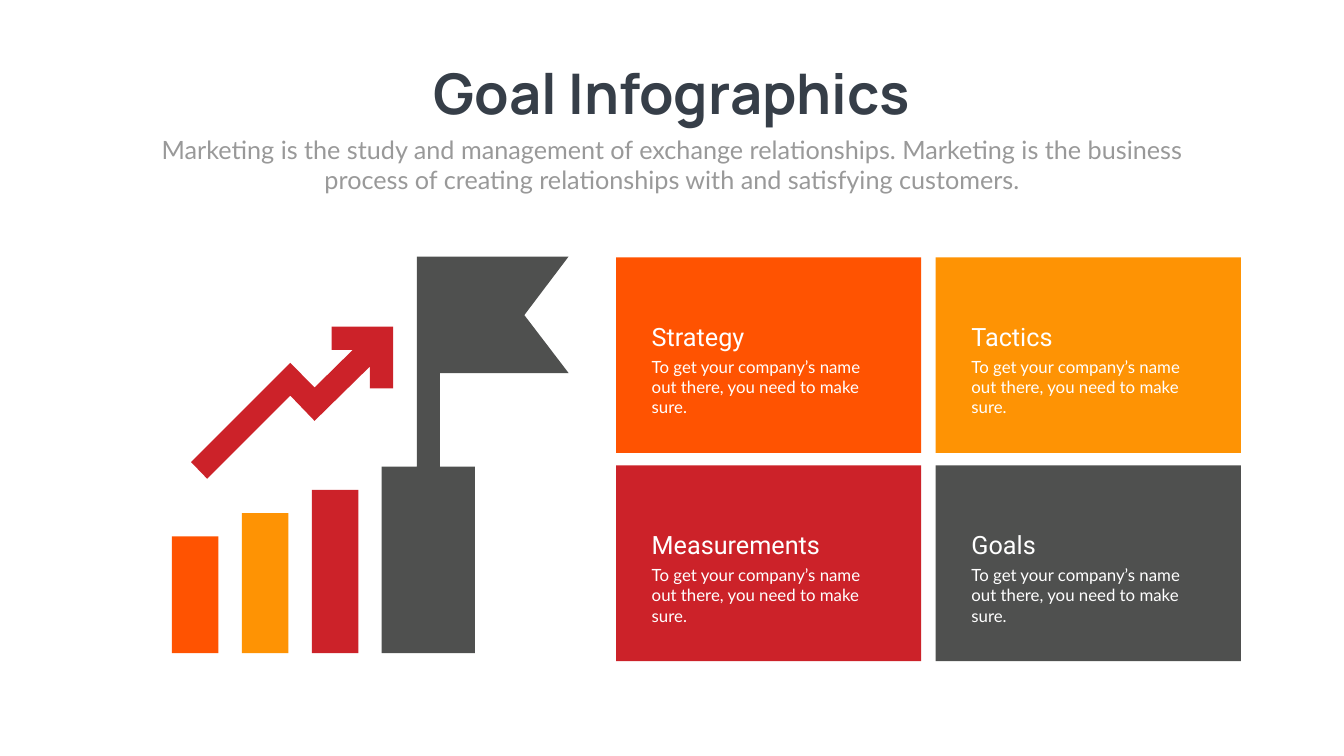
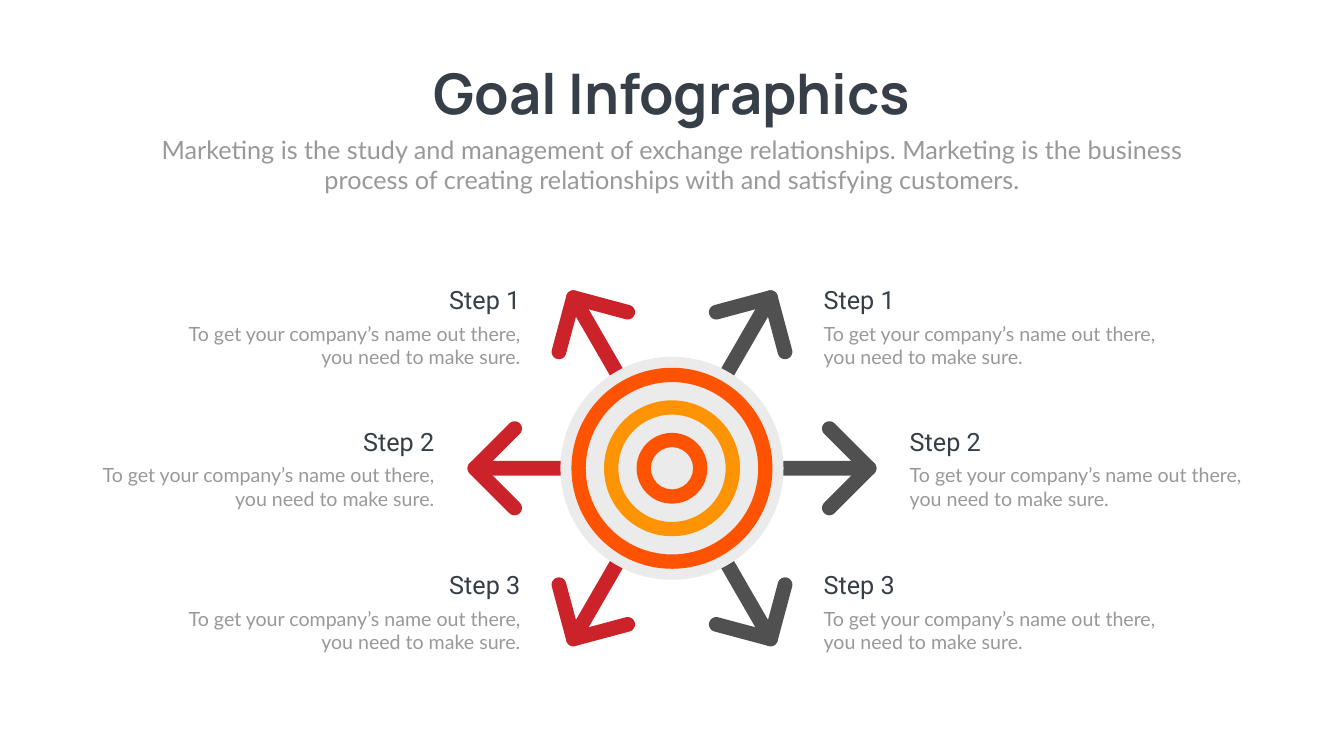
from dataclasses import dataclass
from math import cos, radians, sin

from pptx import Presentation
from pptx.dml.color import RGBColor
from pptx.enum.shapes import MSO_SHAPE
from pptx.enum.text import MSO_ANCHOR, MSO_AUTO_SIZE, PP_ALIGN
from pptx.util import Cm, Pt


@dataclass(frozen=True)
class Theme:
    """Colours, fonts and type sizes of the deck."""
    ink: str = "363E48"
    muted: str = "999999"
    white: str = "FFFFFF"
    orange: str = "FF5301"
    amber: str = "FE9304"
    red: str = "CC2229"
    grey: str = "4F504F"
    pale: str = "EBEBEB"
    title_font: str = "Manrope"
    head_font: str = "Roboto"
    body_font: str = "Lato"
    title_size: int = 80
    head_size: int = 36
    step_size: int = 28
    card_size: int = 24


T = Theme()
WIDTH, HEIGHT = 67.72, 38.1
CENTRE = (33.86, 23.6)
TILT = 30
STEP_TOPS = (14.22, 21.34, 28.58)
COPY = "To get your company’s name out there, you need to make sure."
INTRO = ("Marketing is the study and management of exchange relationships. "
         "Marketing is the business process of creating relationships with "
         "and satisfying customers.")


def write(shape, text, font=T.body_font, size=T.head_size, color=T.muted,
          bold=False, align=PP_ALIGN.LEFT, wrap=True):
    """Put one formatted paragraph into a shape."""
    tf = shape.text_frame
    tf.word_wrap = wrap
    tf.auto_size = MSO_AUTO_SIZE.SHAPE_TO_FIT_TEXT
    tf.vertical_anchor = MSO_ANCHOR.TOP
    p = tf.paragraphs[0]
    p.alignment = align
    p.space_before = Pt(0)
    r = p.add_run()
    r.text = text
    r.font.name, r.font.size, r.font.bold = font, Pt(size), bold
    r.font.color.rgb = RGBColor.from_string(color)


def place(shape, left, top, width, height):
    """Move and size a shape, in centimetres."""
    shape.left, shape.top = Cm(left), Cm(top)
    shape.width, shape.height = Cm(width), Cm(height)


def paint(shape, color):
    """Give a shape a flat fill without line or shadow."""
    shape.shadow.inherit = False
    shape.fill.solid()
    shape.fill.fore_color.rgb = RGBColor.from_string(color)
    shape.line.fill.background()


def add_box(s, kind, left, top, width, height, color):
    """Add a flat preset shape."""
    sp = s.shapes.add_shape(kind, Cm(left), Cm(top), Cm(width), Cm(height))
    paint(sp, color)
    return sp


def add_text(s, left, top, width, height, text, **fmt):
    """Add a text box."""
    sp = s.shapes.add_textbox(Cm(left), Cm(top), Cm(width), Cm(height))
    write(sp, text, **fmt)


def add_outline(s, points, color):
    """Add a closed flat polygon."""
    pts = [(Cm(x), Cm(y)) for x, y in points]
    fb = s.shapes.build_freeform(*pts[0], scale=1.0)
    fb.add_line_segments(pts[1:], close=True)
    sp = fb.convert_to_shape()
    paint(sp, color)
    return sp


def add_disc(s, diameter, color, thickness=None):
    """Add a disc, or a ring of the given thickness, around the centre."""
    kind = MSO_SHAPE.DONUT if thickness else MSO_SHAPE.OVAL
    x, y = CENTRE
    sp = add_box(s, kind, x - diameter / 2, y - diameter / 2,
                 diameter, diameter, color)
    if thickness:
        sp.adjustments[0] = thickness / diameter


def arc(x, y, radius, start, end):
    """List the points of an arc, one every 15 degrees."""
    return [(x + radius * cos(radians(a)), y + radius * sin(radians(a)))
            for a in range(start, end + 1, 15)]


def turn(points, angle):
    """Rotate points about the origin and move them to the centre."""
    c, n = cos(radians(angle)), sin(radians(angle))
    return [(CENTRE[0] + x * c - y * n, CENTRE[1] + x * n + y * c)
            for x, y in points]


def add_tilted(s, points, angle, color):
    """Add an outline whose frame is tilted about the centre."""
    sp = add_outline(s, turn(points, angle + TILT), color)
    x = (sp.left + sp.width / 2) / Cm(1) - CENTRE[0]
    y = (sp.top + sp.height / 2) / Cm(1) - CENTRE[1]
    (x, y), = turn([(x, y)], -TILT)
    sp.left = Cm(x) - sp.width // 2
    sp.top = Cm(y) - sp.height // 2
    sp.rotation = 360 - TILT


def add_arrow(s, angle, color, start=4.24, tip=9.93, wing=2, half=0.37):
    """Add a round-ended arrow that points away from the centre."""
    head = (arc(tip, 0, half, -45, 45)
            + arc(tip - wing, wing, half, 45, 225)
            + [(tip - half * 2 ** 0.5, 0)]
            + arc(tip - wing, -wing, half, 135, 315))
    shaft = arc(tip, 0, half, -90, 90) + arc(start, 0, half, 90, 270)
    for outline in (head, shaft):
        add_tilted(s, outline, angle, color)


def add_slide(prs):
    """Add a slide with the shared title and introduction."""
    s = prs.slides.add_slide(prs.slide_layouts[0])
    title, intro = s.placeholders
    place(title, 20.57, 2.84, 26.59, 3.68)
    write(title, "Goal Infographics", font=T.title_font, size=T.title_size,
          color=T.ink, bold=True, align=PP_ALIGN.CENTER, wrap=False)
    place(intro, 7.42, 6.63, 52.88, 3.33)
    write(intro, INTRO, align=PP_ALIGN.CENTER)
    return s


def add_card(s, col, row, heading, color):
    """Add a coloured card at a grid position."""
    left, top = 31.04 + 16.11 * col, 12.97 + 10.49 * row
    add_box(s, MSO_SHAPE.RECTANGLE, left, top, 15.37, 9.86, color)
    add_text(s, left + 1.55, top + 4.89, 12.09, 2.31, COPY,
             size=T.card_size, color=T.white)
    add_text(s, left + 1.55, top + 3.09, 9.88, 1.8, heading,
             font=T.head_font, color=T.white)


def add_step(s, row, on_left):
    """Add the heading and text of a step beside the target."""
    width = 18.42
    left, top = 45.59 if row == 1 else 41.25, STEP_TOPS[row]
    align = PP_ALIGN.LEFT
    if on_left:
        left, align = WIDTH - left - width, PP_ALIGN.RIGHT
    add_text(s, left, top + 1.87, width, 2.64, COPY,
             size=T.step_size, align=align)
    add_text(s, left, top, width, 1.8, f"Step {row + 1}",
             font=T.head_font, color=T.ink, align=align)


def build_growth(prs):
    """Build the slide with the rising bars, the flag and four cards."""
    s = add_slide(prs)
    add_card(s, 0, 0, "Strategy", T.orange)
    add_card(s, 0, 1, "Measurements", T.red)
    add_card(s, 1, 0, "Tactics", T.amber)
    add_card(s, 1, 1, "Goals", T.grey)
    trend = [(14.63, 19.94), (15.85, 21.21), (18.64, 18.47), (18.64, 19.58),
             (19.81, 19.58), (19.81, 16.46), (16.71, 16.46), (16.71, 17.63),
             (17.78, 17.63), (15.85, 19.53), (14.63, 18.29), (9.63, 23.29),
             (10.44, 24.13)]
    add_outline(s, trend, T.red)
    base = 32.92
    for i, color in enumerate((T.orange, T.amber, T.red)):
        height = 5.89 + 1.17 * i
        add_box(s, MSO_SHAPE.RECTANGLE, 8.66 + 3.53 * i, base - height,
                2.34, height, color)
    flag = [(28.65, 18.8), (26.42, 15.88), (28.65, 12.93), (21.01, 12.93),
            (21.01, 23.52), (19.23, 23.52), (19.23, base), (23.93, base),
            (23.93, 23.52), (22.17, 23.52), (22.17, 18.8)]
    add_outline(s, flag, T.grey)


def build_target(prs):
    """Build the slide with the target, its arrows and six steps."""
    s = add_slide(prs)
    for angle in range(0, 360, 60):
        add_arrow(s, angle, T.red if 90 < angle < 270 else T.grey)
    add_disc(s, 11.24, T.pale)
    for diameter, color in ((10.13, T.orange), (6.85, T.amber),
                            (3.57, T.orange)):
        add_disc(s, diameter, color, thickness=0.72)
    for on_left in (True, False):
        for row in range(3):
            add_step(s, row, on_left)


def main():
    """Build and save the deck."""
    prs = Presentation()
    prs.slide_width, prs.slide_height = Cm(WIDTH), Cm(HEIGHT)
    build_growth(prs)
    build_target(prs)
    prs.save("out.pptx")


if __name__ == "__main__":
    main()
